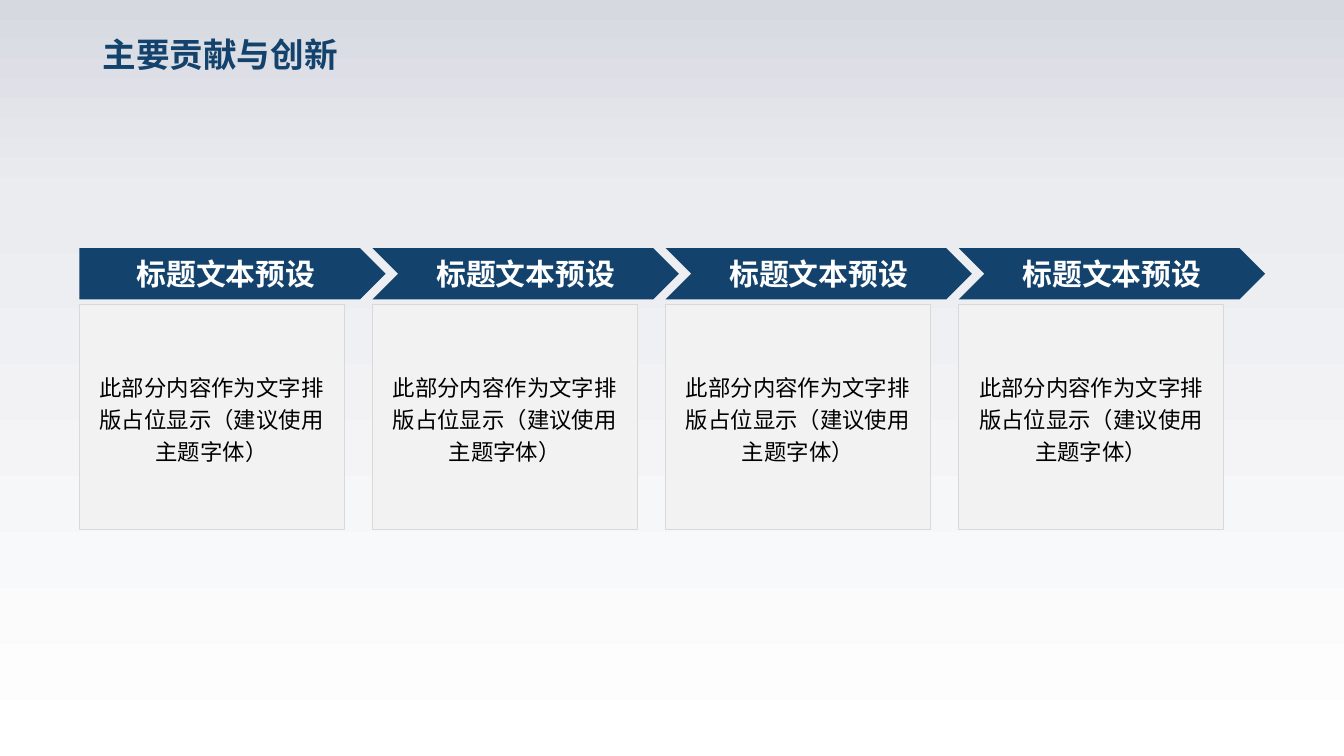
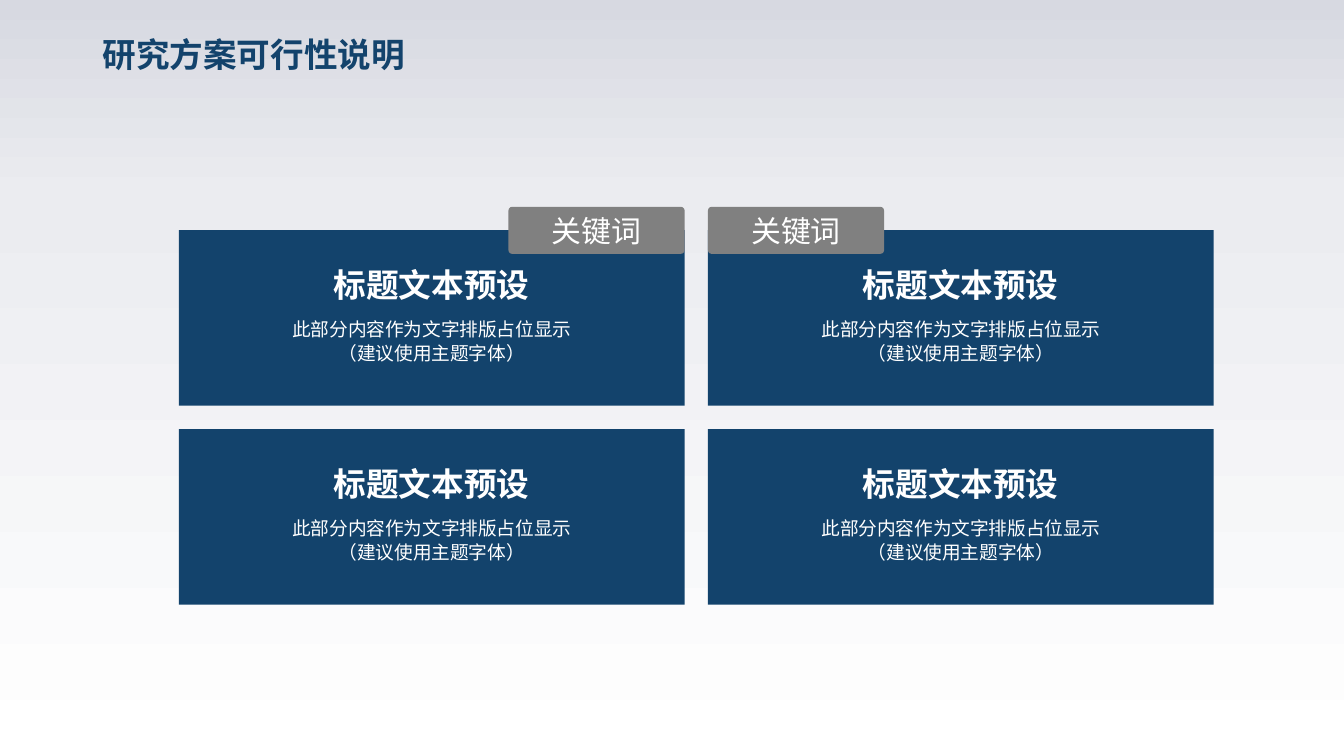
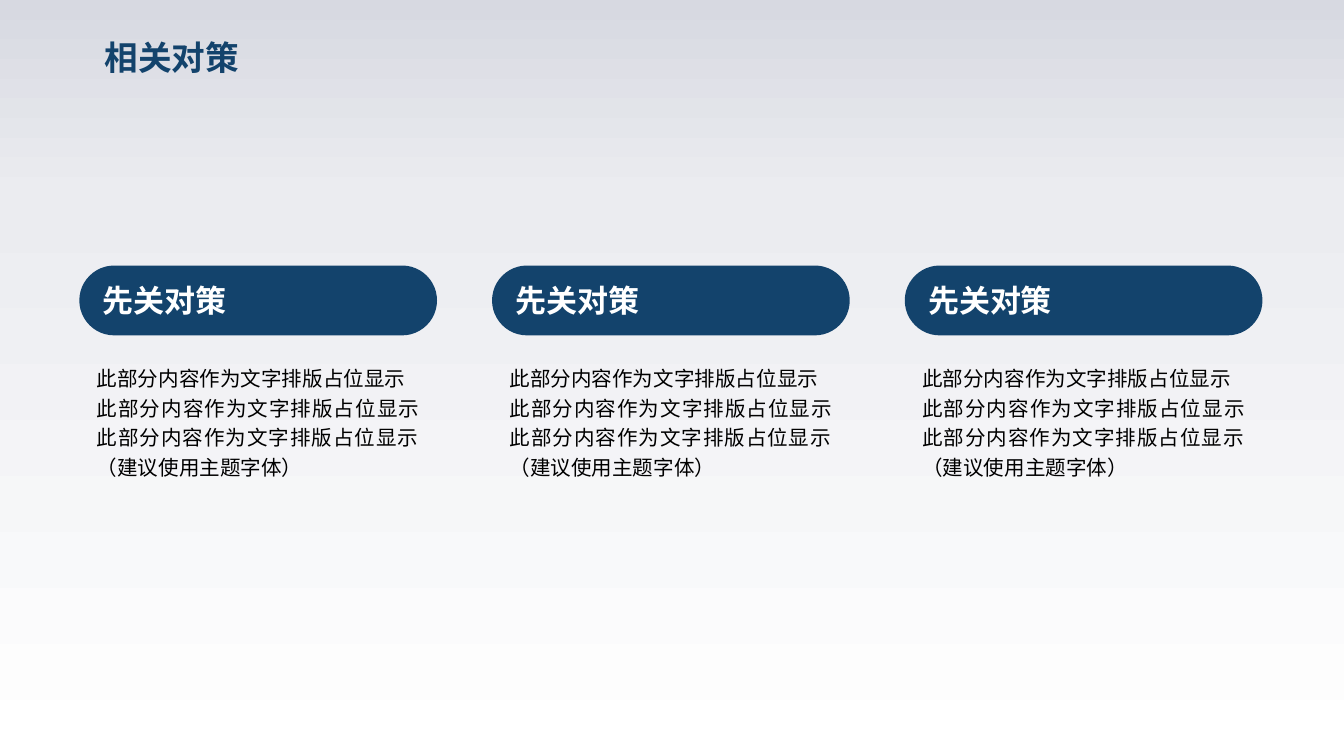
from lxml.etree import SubElement
from pptx import Presentation
from pptx.dml.color import RGBColor
from pptx.enum.shapes import MSO_SHAPE
from pptx.enum.text import MSO_ANCHOR, MSO_AUTO_SIZE, PP_ALIGN
from pptx.oxml.ns import qn
from pptx.util import Cm, Pt

RECT, ROUND = MSO_SHAPE.RECTANGLE, MSO_SHAPE.ROUNDED_RECTANGLE
PLATE, CHEVRON = MSO_SHAPE.PENTAGON, MSO_SHAPE.CHEVRON
LEFT, CENTER, FULL = PP_ALIGN.LEFT, PP_ALIGN.CENTER, PP_ALIGN.JUSTIFY
TOP, MIDDLE = MSO_ANCHOR.TOP, MSO_ANCHOR.MIDDLE
GROW = MSO_AUTO_SIZE.SHAPE_TO_FIT_TEXT

FONT = "Arial"
NAVY, GRAY, PALE, EDGE = "13436C", "808080", "F2F2F2", "D9D9D9"
WHITE, BLACK = "FFFFFF", "000000"
STOPS = [(0, "D7D9E1"), (26, "EBECF0"), (100, WHITE)]

HEAD = "标题文本预设"
LINE = "此部分内容作为文字排版占位显示"
NOTE = "（建议使用主题字体）"


def rgb(code):
    return RGBColor.from_string(code)


def paint(master):
    """Give every slide the same gradient from top to bottom."""
    fill = master.background.fill
    fill.gradient()
    fill.gradient_angle = 270
    stops = master.element.find(".//" + qn("a:gsLst"))
    stops.clear()
    for place, code in STOPS:
        stop = SubElement(stops, qn("a:gs"), pos=str(place * 1000))
        SubElement(stop, qn("a:srgbClr"), val=code)


def write(shape, paras, size, color, bold=False, align=LEFT, anchor=TOP,
          wrap=True, inset=None, space=None):
    frame = shape.text_frame
    frame.word_wrap = wrap
    frame.vertical_anchor = anchor
    if inset is not None:
        frame.margin_left = frame.margin_right = Cm(inset)
        frame.margin_top = frame.margin_bottom = Cm(inset)
    for i, text in enumerate(paras):
        para = frame.add_paragraph() if i else frame.paragraphs[0]
        para.alignment = align
        para.line_spacing = space
        for j, part in enumerate(text.split("\n")):
            if j:
                para.add_line_break()
            run = para.add_run()
            run.text = part
            font = run.font
            font.name, font.size, font.bold = FONT, Pt(size), bold
            font.color.rgb = rgb(color)


def block(shapes, kind, box, fill, line=None, adjust=None):
    shape = shapes.add_shape(kind, *map(Cm, box))
    shape.shadow.inherit = False
    shape.fill.solid()
    shape.fill.fore_color.rgb = rgb(fill)
    if line:
        shape.line.color.rgb = rgb(line)
        shape.line.width = Pt(0.25)
    else:
        shape.line.fill.background()
    if adjust is not None:
        shape.adjustments[0] = adjust
    return shape


def label(shapes, box, paras, size, color, **style):
    text = shapes.add_textbox(*map(Cm, box))
    write(text, paras, size, color, **style)
    return text


def start(deck, title, left=1.69, top=0.51):
    """Add a slide with its title and return its shapes."""
    shapes = deck.slides.add_slide(deck.slide_layouts[6]).shapes
    box = (left, top, len(title) * 0.64 + 0.5, 1.02)
    text = label(shapes, box, [title], 18, NAVY, bold=True, wrap=False)
    text.text_frame.auto_size = GROW
    return shapes


def step(shapes, left, top, kind):
    body = block(shapes, RECT, (left, top + 1.07, 5, 4.24), PALE, EDGE)
    write(body, [LINE + NOTE], 12, BLACK, align=CENTER, anchor=MIDDLE,
          space=1.2)
    arrow = block(shapes, kind, (left, top, 5.79, 0.97), NAVY)
    write(arrow, [HEAD], 16, WHITE, bold=True, align=CENTER, anchor=MIDDLE,
          wrap=False)


def card(shapes, left, top, wide, high):
    block(shapes, RECT, (left, top, wide, high), NAVY)
    label(shapes, (left, top + 0.63, wide, 0.79), [HEAD], 17.5, WHITE,
          bold=True, align=CENTER, anchor=MIDDLE, inset=0)
    label(shapes, (left + (wide - 6.17) / 2, top + 1.61, 6.17, 0.97),
          [LINE + "\n" + NOTE], 10, WHITE, align=CENTER, inset=0, space=1.1)


def tag(shapes, left, top, wide):
    shape = block(shapes, ROUND, (left, top, wide, 0.89), GRAY, adjust=0.08)
    write(shape, ["关键词"], 16, WHITE, align=CENTER, anchor=MIDDLE,
          wrap=False, inset=0.08)


def plan(shapes, left, top):
    label(shapes, (left + 0.08, top + 1.68, 6.6, 4.5),
          [LINE, LINE * 2 + "\n" + NOTE], 11, BLACK, align=FULL, space=1.2)
    pill = block(shapes, ROUND, (left, top, 6.76, 1.32), NAVY, adjust=0.5)
    write(pill, ["先关对策"], 16.6, WHITE, bold=True, anchor=MIDDLE,
          wrap=False)


def chain(deck):
    shapes = start(deck, "主要贡献与创新")
    for i, kind in enumerate([PLATE] + [CHEVRON] * 3):
        step(shapes.add_group_shape().shapes, 1.5 + i * 5.54, 4.69, kind)


def grid(deck):
    shapes = start(deck, "研究方案可行性说明").add_group_shape().shapes
    left, top, wide, high, gap = 3.38, 4.35, 9.56, 3.32, 0.44
    for row in range(2):
        for col in range(2):
            card(shapes, left + col * (wide + gap), top + row * (high + gap),
                 wide, high)
    size = 3.33
    for x in (left + wide - size, left + wide + gap):
        tag(shapes, x, top - 0.44, size)


def plans(deck):
    shapes = start(deck, "相关对策", 1.73, 0.58)
    for i in range(3):
        plan(shapes.add_group_shape().shapes, 1.5 + i * 7.8, 5.02)


def main():
    deck = Presentation()
    deck.slide_width, deck.slide_height = Cm(25.4), Cm(14.29)
    paint(deck.slide_master)
    chain(deck)
    grid(deck)
    plans(deck)
    deck.save("out.pptx")


if __name__ == "__main__":
    main()
